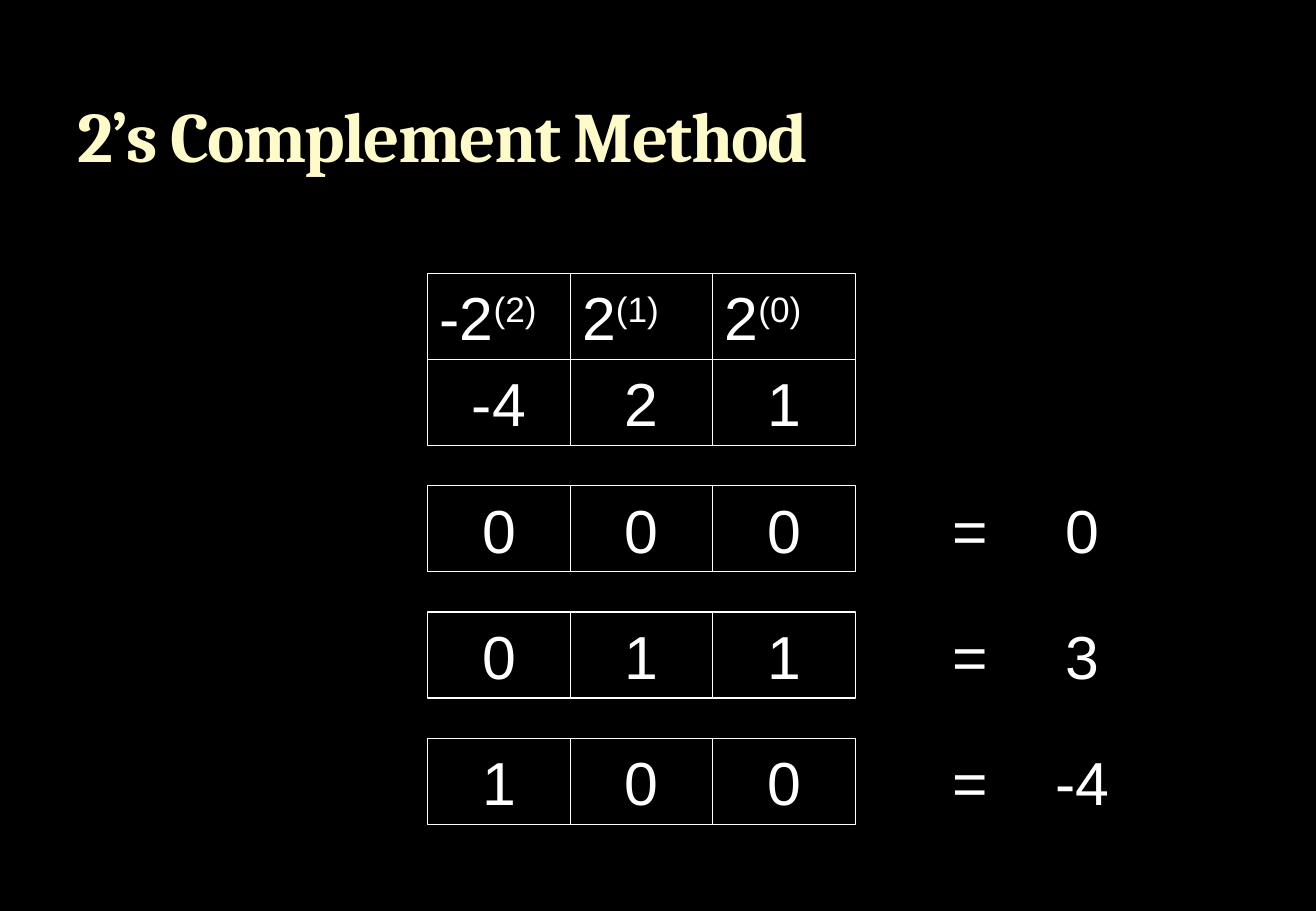
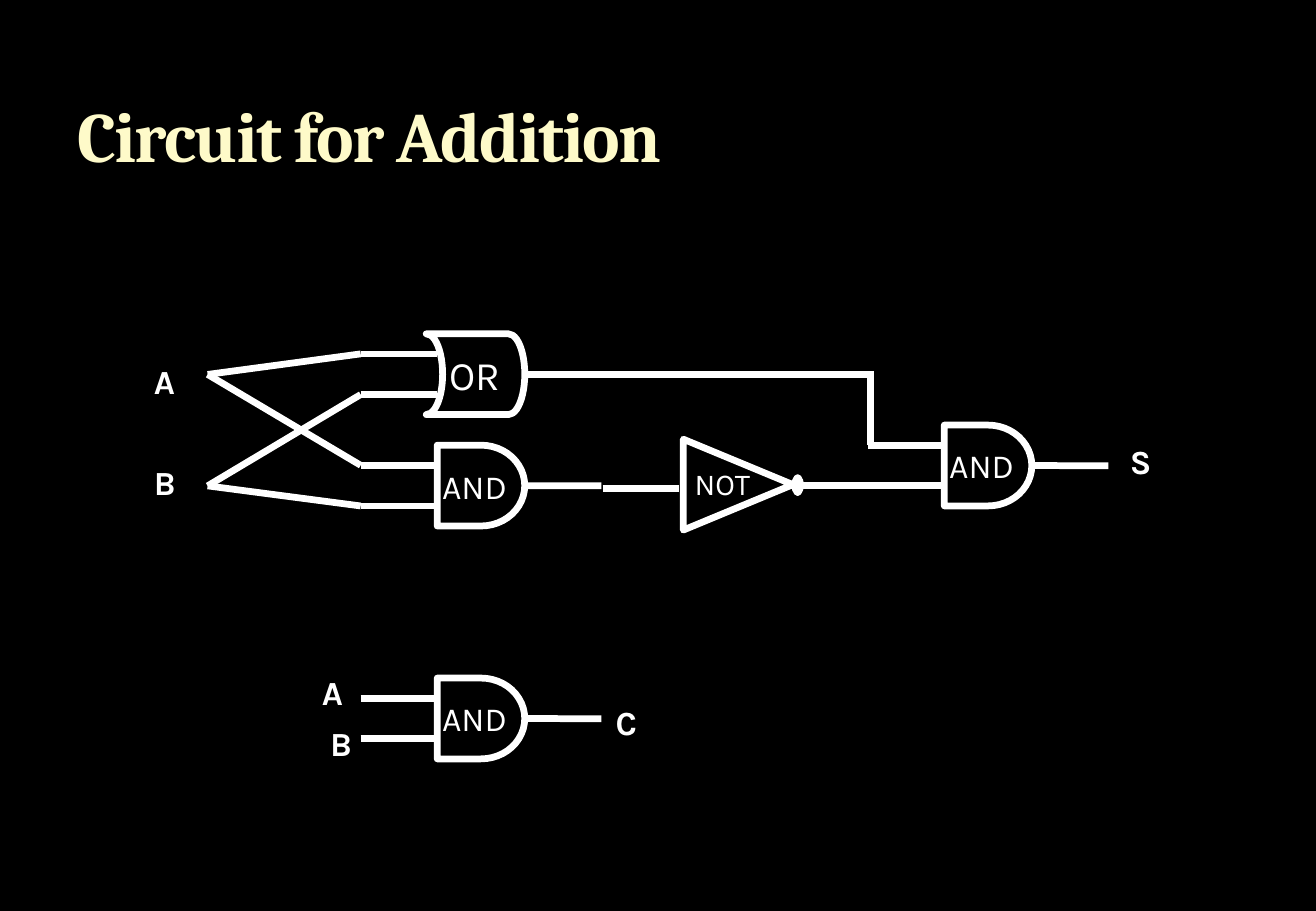
from lxml import etree
from pptx import Presentation
from pptx.dml.color import RGBColor
from pptx.enum.shapes import MSO_CONNECTOR, MSO_SHAPE
from pptx.enum.text import MSO_ANCHOR, MSO_AUTO_SIZE, PP_ALIGN
from pptx.oxml.ns import qn
from pptx.util import Cm, Pt

RECT = MSO_SHAPE.RECTANGLE
OVAL = MSO_SHAPE.OVAL
DELAY = MSO_SHAPE.FLOWCHART_DELAY
STORE = MSO_SHAPE.FLOWCHART_STORED_DATA
CONE = MSO_SHAPE.FLOWCHART_EXTRACT
LINE = MSO_CONNECTOR.STRAIGHT
LEFT = PP_ALIGN.LEFT
MID = PP_ALIGN.CENTER
TOP = MSO_ANCHOR.TOP
CORE = MSO_ANCHOR.MIDDLE
BASE = MSO_ANCHOR.BOTTOM
GROW = MSO_AUTO_SIZE.SHAPE_TO_FIT_TEXT

BLACK, WHITE, CREAM = "000000", "FFFFFF", "FEFAC9"

HEAD = {"name": "Cambria", "size": Pt(42), "bold": True}
DIGIT = {"name": "Arial", "size": Pt(36)}
GATE = {"name": "Karla", "size": Pt(20)}
LABEL = {**GATE, "bold": True}

CELL_W, CELL_H = 2.98, 1.8
GRID_X, GRID_Y = 8.94, 5.72
ROW_Y, ROW_GAP = 10.16, 2.64
EQUAL_X, SUM_X = 18.8, 21.13

GATE_W, GATE_H = 1.83, 1.69
PIN = 1.6
PIN_A, PIN_B, PIN_OUT = 0.42, 1.27, 0.85
GATE_X, OR_Y, AND_Y = 9.14, 6.98, 9.31
LAST_X, LAST_Y = 19.74, 8.89


def color(code):
    return RGBColor.from_string(code)


def write(shape, text, style, align=LEFT, anchor=TOP, wrap=True, tint=WHITE, power=""):
    frame = shape.text_frame
    for key, value in {"word_wrap": wrap, "vertical_anchor": anchor}.items():
        setattr(frame, key, value)
    para = frame.paragraphs[0]
    para.alignment = align
    for part in filter(None, (text, power)):
        run = para.add_run()
        run.text = part
        for key, value in style.items():
            setattr(run.font, key, value)
        run.font.color.rgb = color(tint)
    if power:
        run._r.get_or_add_rPr().set("baseline", "30000")
    return run


def shape(slide, kind, x, y, w, h, width, fill=None, turn=0):
    item = slide.shapes.add_shape(kind, Cm(x), Cm(y), Cm(w), Cm(h))
    item.shadow.inherit = False
    item.rotation = turn
    if fill:
        item.fill.solid()
        item.fill.fore_color.rgb = color(fill)
    else:
        item.fill.background()
    item.line.color.rgb = color(WHITE)
    item.line.width = Pt(width)
    return item


def box(slide, x, y, w, h):
    return slide.shapes.add_textbox(Cm(x), Cm(y), Cm(w), Cm(h))


def label(slide, text, x, y, w=0.99, h=1.12, style=LABEL):
    item = box(slide, x, y, w, h)
    write(item, text, style, wrap=False)
    item.text_frame.auto_size = GROW


def wire(slide, x1, y1, x2, y2, start=None):
    item = slide.shapes.add_connector(LINE, Cm(x1), Cm(y1), Cm(x2), Cm(y2))
    item.line.color.rgb = color(WHITE)
    item.line.width = Pt(4)
    etree.SubElement(item._element.spPr, qn("a:effectLst"))
    if start is not None:
        item.begin_connect(start, 3)


def pins(slide, x, y, gate=None):
    for drop in (PIN_A, PIN_B):
        wire(slide, x - PIN, y + drop, x, y + drop)
    end = x + GATE_W
    wire(slide, end, y + PIN_OUT, end + PIN, y + PIN_OUT, gate)


def and_gate(slide, x, y):
    gate = shape(slide, DELAY, x, y, GATE_W, GATE_H, 4)
    write(gate, "AND", GATE, MID, CORE, wrap=False)
    pins(slide, x, y, gate)


def or_gate(slide, x, y):
    shape(slide, STORE, x - 0.23, y, 2.06, GATE_H, 4, turn=180)
    label(slide, "OR", x, y + 0.21, 1.65, 1.3, {**GATE, "size": Pt(24)})
    pins(slide, x, y)


def not_gate(slide):
    shape(slide, CONE, 14.48, 8.99, 1.9, 2.29, 4, turn=90)
    label(slide, "NOT", 14.27, 9.6, 1.75, 1.02, {**GATE, "size": Pt(18)})
    wire(slide, 12.6, 10.21, 14.2, 10.21)
    wire(slide, 16.64, 10.16, 18.24, 10.16)
    shape(slide, OVAL, 16.56, 9.93, 0.23, 0.43, 0.75, WHITE)


def page(deck, title):
    slide = deck.slides.add_slide(deck.slide_layouts[6])
    head = box(slide, 1.37, 0.43, 24.77, 3.38)
    run = write(head, title, HEAD, anchor=BASE, tint=CREAM)
    run._r.get_or_add_rPr().set("spc", "-100")
    return slide


def cell(slide, col, y, text, align=MID, power=""):
    item = shape(slide, RECT, GRID_X + col * CELL_W, y, CELL_W, CELL_H, 0.75)
    write(item, text, DIGIT, align, CORE, power=power)


def method(deck):
    slide = page(deck, "2’s Complement Method")
    for col, (text, power) in enumerate((("-2", "(2)"), ("2", "(1)"), ("2", "(0)"))):
        cell(slide, col, GRID_Y, text, LEFT, power)
    for col, text in enumerate(("-4", "2", "1")):
        cell(slide, col, GRID_Y + CELL_H, text)
    for row, (bits, total) in enumerate((("000", "0"), ("011", "3"), ("100", "-4"))):
        y = ROW_Y + row * ROW_GAP
        for col, bit in enumerate(bits):
            cell(slide, col, y, bit)
        for x, text in ((EQUAL_X, "="), (SUM_X, total)):
            write(box(slide, x, y, CELL_W, CELL_H), text, DIGIT, MID, CORE)


def circuit(deck):
    slide = page(deck, "Circuit for Addition")
    or_gate(slide, GATE_X, OR_Y)
    for x, y in ((GATE_X, AND_Y), (LAST_X, LAST_Y), (GATE_X, 14.18)):
        and_gate(slide, x, y)
    not_gate(slide)
    for y, drop in ((7.83, PIN_A), (10.16, PIN_B)):
        for gate_y in (OR_Y, AND_Y):
            wire(slide, 4.34, y, GATE_X - PIN, gate_y + drop)
    high = OR_Y + PIN_OUT
    wire(slide, 12.29, high, 18.26, high)
    wire(slide, 18.19, high, 18.19, LAST_Y + PIN_A)
    for text, x, y in (
        ("A", 2.97, 7.42),
        ("B", 2.97, 9.53),
        ("S", 23.37, 9.09),
        ("A", 6.48, 13.92),
        ("B", 6.65, 14.99),
        ("C", 12.62, 14.55),
    ):
        label(slide, text, x, y)


def main():
    deck = Presentation()
    deck.slide_width, deck.slide_height = Cm(27.51), Cm(19.05)
    back = deck.slide_master.background.fill
    back.solid()
    back.fore_color.rgb = color(BLACK)
    method(deck)
    circuit(deck)
    deck.save("out.pptx")


if __name__ == "__main__":
    main()
